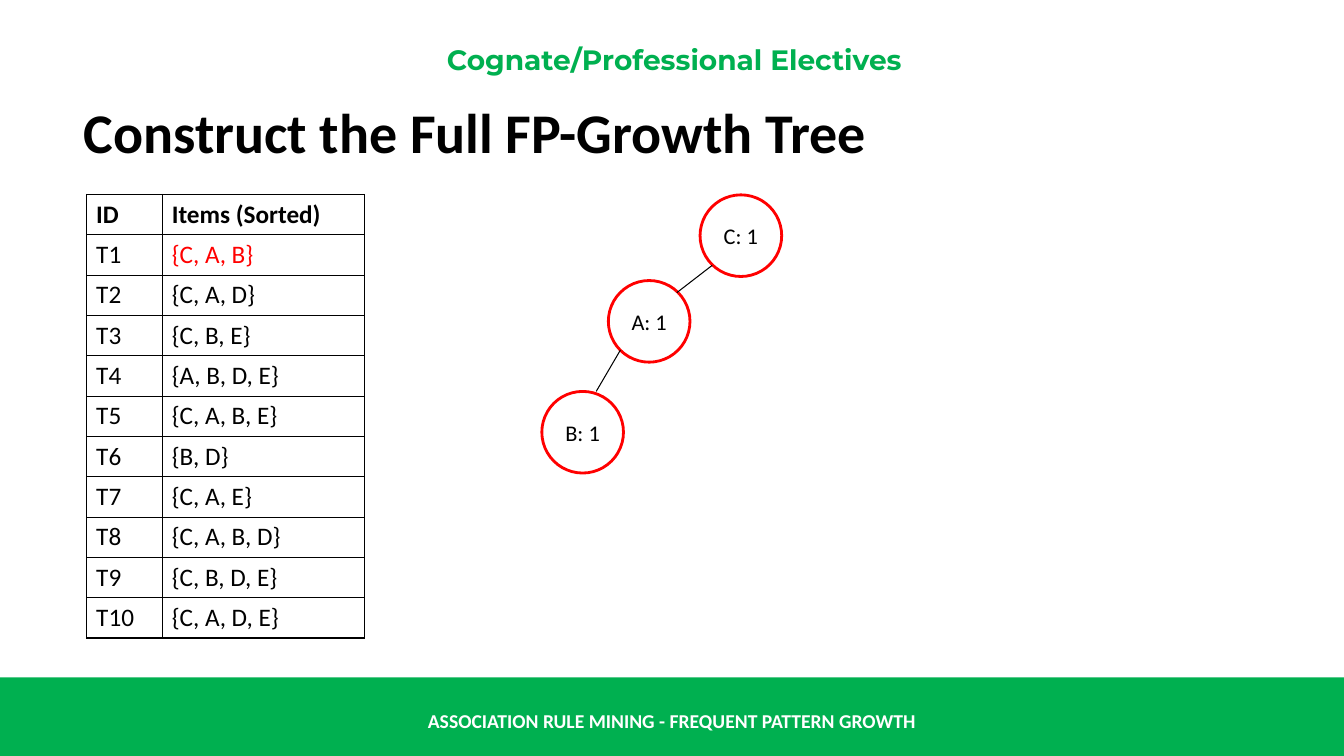
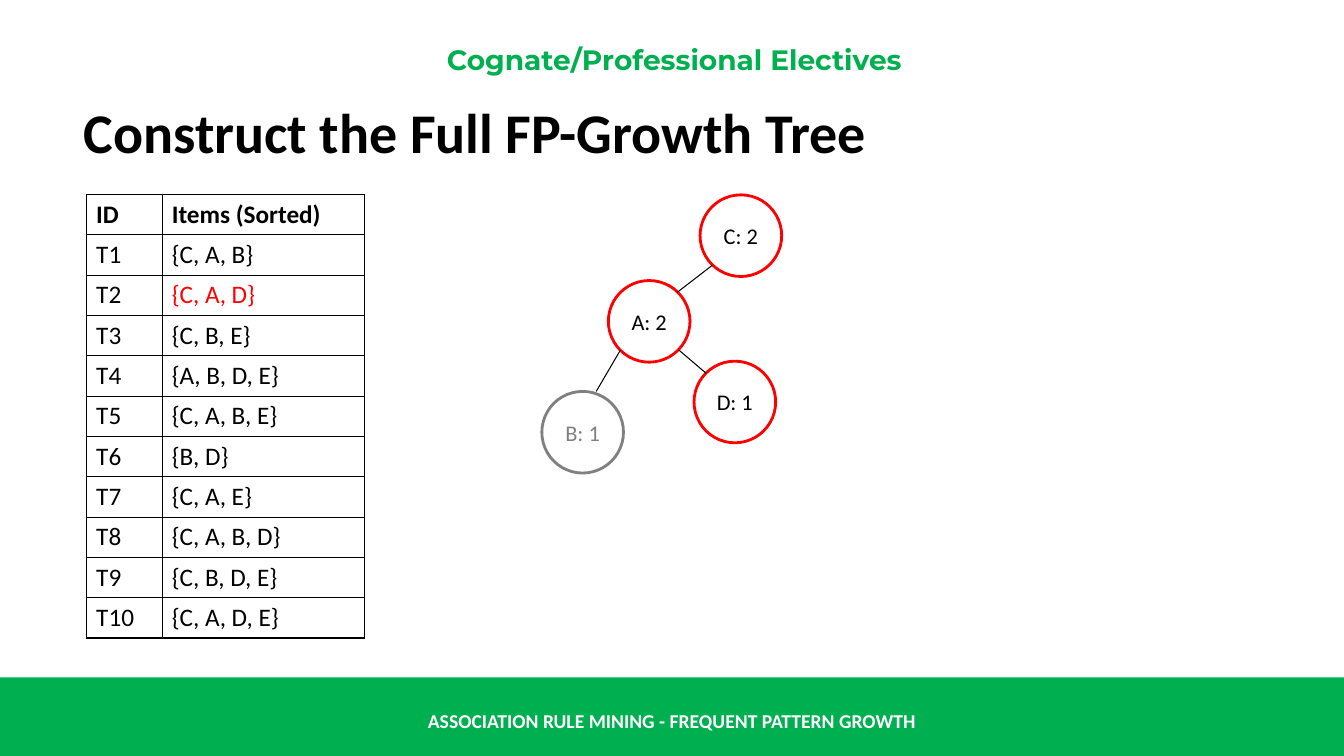
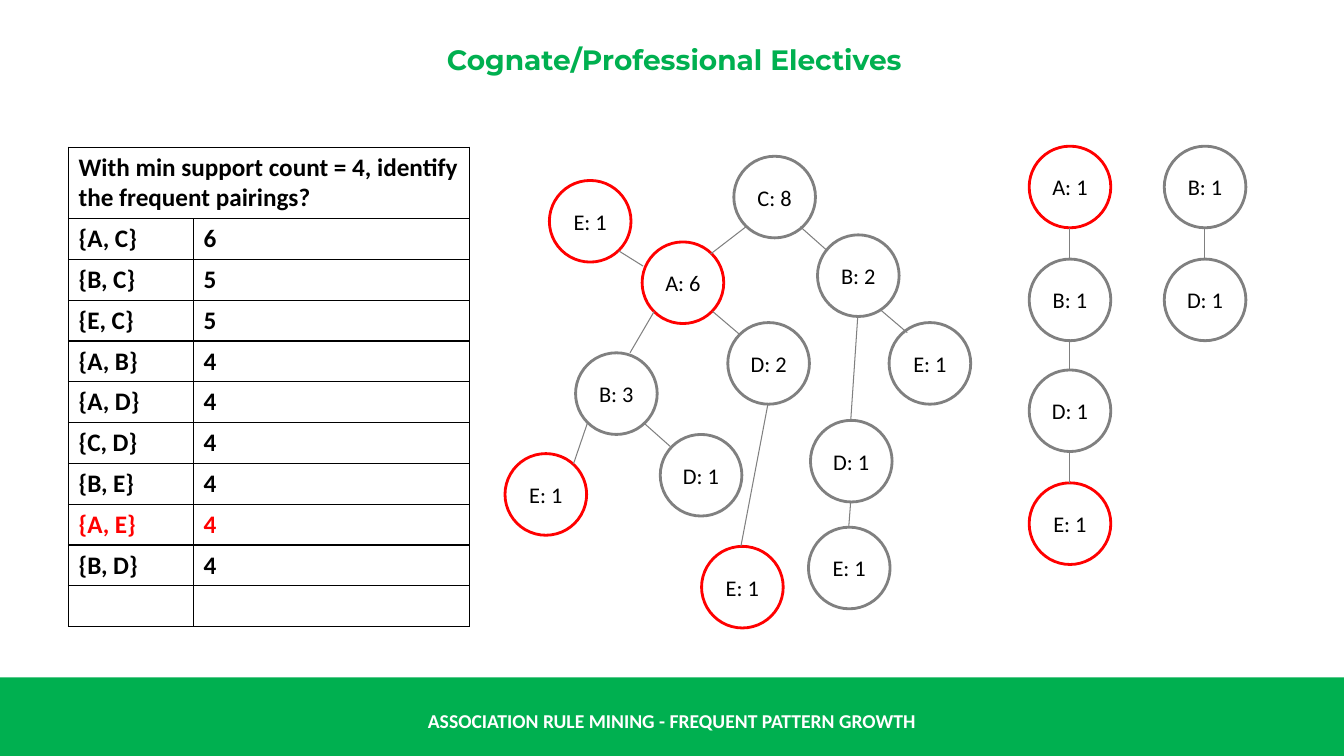
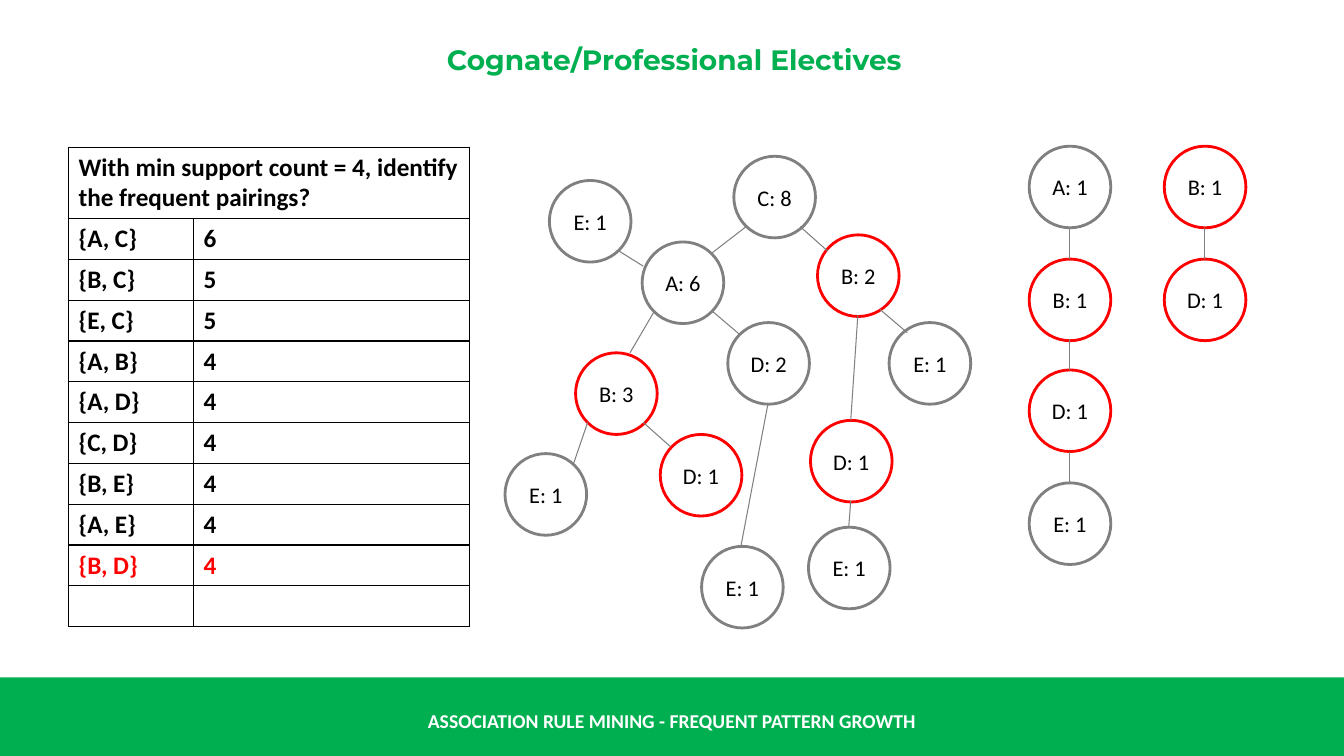
from dataclasses import dataclass

from lxml import etree
from pptx import Presentation
from pptx.dml.color import RGBColor
from pptx.enum.shapes import MSO_CONNECTOR, MSO_SHAPE
from pptx.enum.text import MSO_ANCHOR, PP_ALIGN
from pptx.oxml.ns import qn
from pptx.util import Inches, Pt

LEFT, MID = PP_ALIGN.LEFT, PP_ALIGN.CENTER
CENTRE = MSO_ANCHOR.MIDDLE
RECT, OVAL = MSO_SHAPE.RECTANGLE, MSO_SHAPE.OVAL
LINE = MSO_CONNECTOR.STRAIGHT


@dataclass(frozen=True)
class Theme:
    green: str = "00B050"
    red: str = "FF0000"
    grey: str = "808080"
    black: str = "000000"
    white: str = "FFFFFF"
    body: str = "Calibri"
    brand: str = "Montserrat"
    title: int = 40
    head: int = 20
    cell: int = 18
    node: int = 16
    foot: int = 14
    ring: float = 2
    edge: float = 0.75


look = Theme()
COLS, ROWS = 133.33, 75
UNIT = Inches(0.1)
SIZE = 8.1


def at(*cells):
    return [round(n * UNIT) for n in cells]


def put(frame, words, size=look.cell, color=look.black, bold=False,
        font=look.body, align=LEFT):
    frame.word_wrap = True
    frame.vertical_anchor = CENTRE
    para = frame.paragraphs[0]
    para.alignment = align
    run = para.add_run()
    run.text = words
    run.font.size = Pt(size)
    run.font.name = font
    run.font.bold = bold
    run.font.color.rgb = RGBColor.from_string(color)


spots = {
    "C": (72.8, 15.5, None),
    "A": (63.7, 24, (74, 22.5, 70.5, 25.2)),
    "B": (57.1, 35, (62.5, 35, 64.9, 30.9)),
    "D": (72.2, 32, (73.4, 33.2, 70.7, 30.9)),
    "B right": (81.1, 23.3, (82.1, 24.9, 79.4, 22.5)),
    "E right": (88.2, 32, (90, 33, 87.3, 30.7)),
    "D right": (80.4, 41.7, (85.1, 31.3, 84.4, 41.7)),
    "E low": (80.2, 52.3, (84.4, 49.7, 84.2, 52.3)),
    "E top": (54.5, 17.9, (63.8, 26.4, 61.4, 24.9)),
    "E left": (50.1, 45, (56.9, 46, 58.3, 41.9)),
    "D left": (65.5, 43.1, (66.5, 44.3, 63.8, 41.9)),
    "E mid": (69.6, 54.2, (76.2, 40, 73.5, 54.2)),
}
chains = {102.1: ("A one", "B one", "D one", "E one"),
          115.5: ("B two", "D two")}
tops = (14.5, 25.7, 36.7, 47.9)
for x, names in chains.items():
    for name, y in zip(names, tops):
        mid = x + 4
        spots[name] = (x, y, None if y == tops[0] else (mid, y, mid, y - 3.1))

full = {name: 1 for name in spots} | {"C": 8, "A": 6, "B": 3, "D": 2, "B right": 2}
sets = ["C, A, B", "C, A, D", "C, B, E", "A, B, D, E", "C, A, B, E",
        "B, D", "C, A, E", "C, A, B, D", "C, B, D, E", "C, A, D, E"]
items = [("ID", "Items (Sorted)")]
items += [(f"T{n}", f"{{{s}}}") for n, s in enumerate(sets, 1)]
pairs = [("With min support count = 4, identify the frequent pairings?", "")]
pairs += [(f"{{{a}, {b}}}", n) for (a, b), n in
          zip(("AC", "BC", "EC", "AB", "AD", "CD", "BE", "AE", "BD"), "655444444")]
pairs += [("", "")]

small = dict(title="Construct the Full FP-Growth Tree", rows=items,
             place=(8.6, 19.3), cols=(7.5, 20.1), high=(4, 4), pad=0.95,
             shift=(-3.35, 3.83), edge=look.black, faint=look.grey)
large = dict(title=None, rows=pairs, place=(6.8, 14.6), cols=(12.4, 27.4),
             high=(7.1, 4.05), pad=1, shift=(0, 0), edge=look.grey,
             faint=look.black, nodes=full)
steps = [
    small | dict(nodes={"C": 1, "A": 1, "B": 1}, hot="CAB", mark=1),
    small | dict(nodes={"C": 2, "A": 2, "B": 1, "D": 1}, hot="CAD", mark=2),
    large | dict(hot=("A", "E top", "E left", "E mid", "A one", "E one"), mark=8),
    large | dict(hot=("B", "D left", "B right", "D right", "B one", "D one",
                      "B two", "D two"), mark=9),
]

deck = Presentation()
deck.slide_width, deck.slide_height = at(COLS, ROWS)
named, blank = deck.slide_layouts[5], deck.slide_layouts[6]
head = named.placeholders[0]
head.left, head.top, head.width, head.height = at(7.3, 9.2, 115.5, 7.7)
pages = [deck.slides.add_slide(named if s["title"] else blank) for s in steps]

first = pages[0].shapes
band = first.add_shape(RECT, *at(0, 67.2, COLS, 7.8))
band.shadow.inherit = False
band.fill.solid()
band.fill.fore_color.rgb = RGBColor.from_string(look.green)
band.line.fill.background()
foot = first.add_textbox(*at(0, 69.5, COLS, 4))
put(foot.text_frame, "ASSOCIATION RULE MINING - FREQUENT PATTERN GROWTH",
    size=look.foot, color=look.white, bold=True, align=MID)
crown = first.add_textbox(*at(2.8, 4.2, 128.2, 3.4))
put(crown.text_frame, "Cognate/Professional Electives", size=look.head,
    color=look.green, bold=True, font=look.brand, align=MID)
for key, part in enumerate((band, foot, crown), 20):
    part.element.nvSpPr.cNvPr.set("id", str(key))
    deck.slide_master.shapes.element.append(part.element)

for page, step in zip(pages, steps):
    if step["title"]:
        put(page.shapes.title.text_frame, step["title"], size=look.title, bold=True)

    dx, dy = step["shift"]
    for name, count in step["nodes"].items():
        x, y, edge = spots[name]
        hot = name in step["hot"]
        node = page.shapes.add_shape(OVAL, *at(x + dx, y + dy, SIZE, SIZE))
        node.shadow.inherit = False
        node.fill.background()
        node.line.width = Pt(look.ring)
        node.line.color.rgb = RGBColor.from_string(look.red if hot else look.grey)
        frame = node.text_frame
        frame.margin_left = frame.margin_right = 0
        put(frame, f"{name[0]}: {count}", size=look.node, align=MID,
            color=look.black if hot else step["faint"])
        if edge:
            x1, y1, x2, y2 = edge
            link = page.shapes.add_connector(
                LINE, *at(x1 + dx, y1 + dy, x2 + dx, y2 + dy))
            link.line.width = Pt(look.edge)
            link.line.color.rgb = RGBColor.from_string(step["edge"])
            etree.SubElement(link.element.spPr, qn("a:effectLst"))

    rows, cols = step["rows"], step["cols"]
    top, rest = step["high"]
    tall = top + rest * (len(rows) - 1)
    grid = page.shapes.add_table(
        len(rows), len(cols), *at(*step["place"], sum(cols), tall)).table
    grid.first_row = grid.horz_banding = False
    for col, wide in zip(grid.columns, at(*cols)):
        col.width = wide
    for r, row in enumerate(rows):
        grid.rows[r].height = at(rest if r else top)[0]
        for c, words in enumerate(row):
            cell = grid.cell(r, c)
            cell.margin_left = cell.margin_right = at(step["pad"])[0]
            cell.margin_top = cell.margin_bottom = at(step["pad"] / 2)[0]
            cell.vertical_anchor = CENTRE
            props = cell._tc.get_or_add_tcPr()
            for side in ("a:lnL", "a:lnR", "a:lnT", "a:lnB"):
                rim = etree.SubElement(props, qn(side), w=str(Pt(1)))
                fill = etree.SubElement(rim, qn("a:solidFill"))
                etree.SubElement(fill, qn("a:srgbClr"), val=look.black)
            cell.fill.background()
            lit = r == step["mark"] and (c or rows is pairs)
            if words:
                put(cell.text_frame, words, bold=r == 0 or rows is pairs,
                    color=look.red if lit else look.black)
    if rows is pairs:
        grid.cell(0, 0).merge(grid.cell(0, 1))

deck.save("out.pptx")
